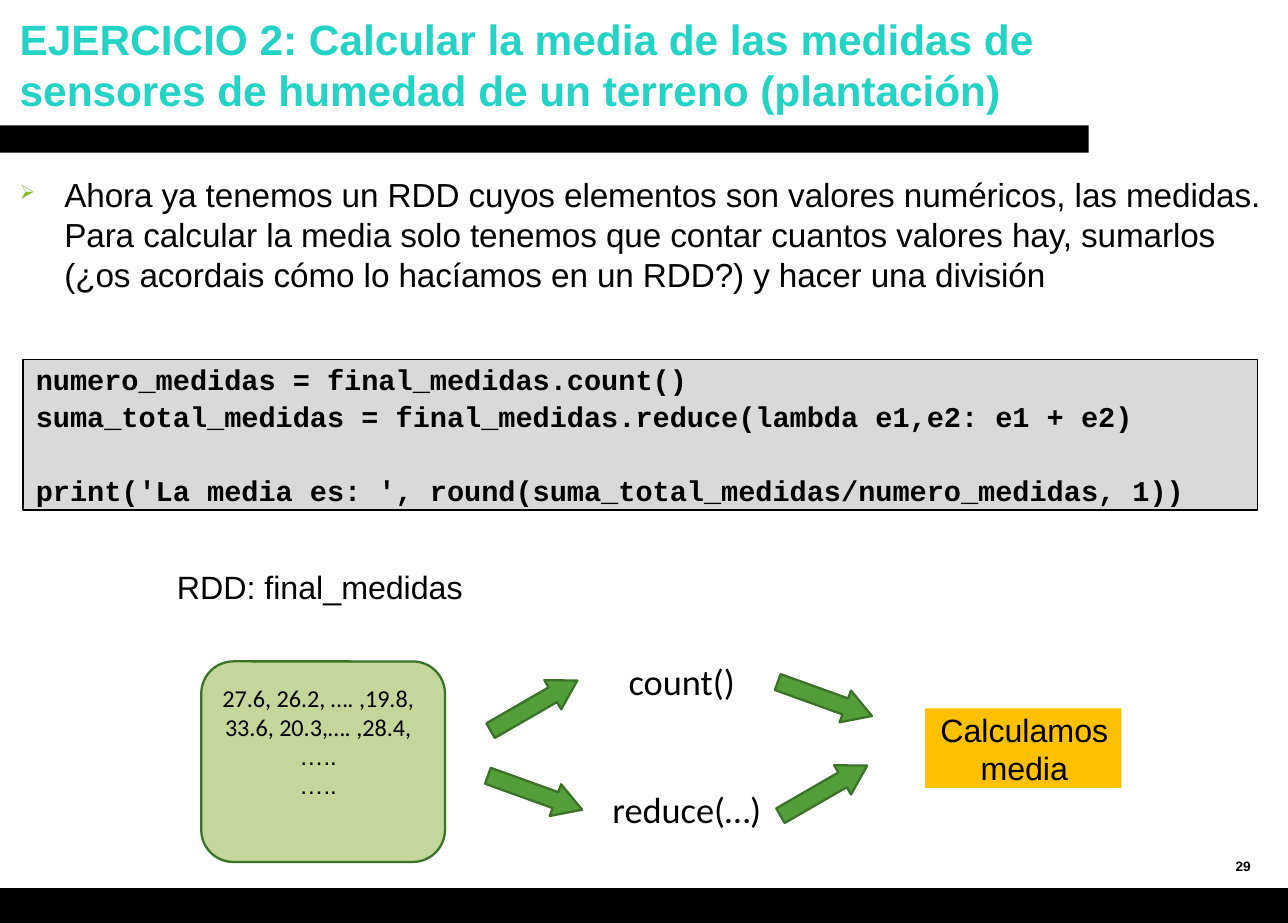
import pptx
import pptx.util
import pptx.dml.color
import pptx.enum.shapes
import pptx.enum.text
import pptx.oxml

Pt = pptx.util.Pt
SHAPE = pptx.enum.shapes.MSO_SHAPE
ALIGN = pptx.enum.text.PP_ALIGN
ANCHOR = pptx.enum.text.MSO_ANCHOR
LEFT, CENTER = ALIGN.LEFT, ALIGN.CENTER
NS = "http://schemas.openxmlformats.org/drawingml/2006/main"


def color(code):
    return pptx.dml.color.RGBColor.from_string(code)


def setup(frame, inset=(0, 0, 0, 0), anchor=ANCHOR.TOP):
    frame.word_wrap = True
    frame.auto_size = pptx.enum.text.MSO_AUTO_SIZE.NONE
    frame.vertical_anchor = anchor
    (frame.margin_left, frame.margin_top,
     frame.margin_right, frame.margin_bottom) = [Pt(n) for n in inset]


def write(frame, lines, size, ink="000000", bold=False, align=LEFT,
          tight=False):
    """Each line is (text, font, space before)."""
    for i, (text, font, gap) in enumerate(lines):
        para = frame.paragraphs[0] if i == 0 else frame.add_paragraph()
        para.alignment = align
        para.line_spacing = 1.0
        para.space_before = Pt(gap)
        run = para.add_run()
        run.text = text
        run.font.size = Pt(size)
        run.font.name = font
        run.font.bold = bold
        run.font.color.rgb = color(ink)
        if tight:
            run.font._element.set("spc", "-5")


def label(slide, box, text, size, inset=(0, 0, 0, 0),
          anchor=ANCHOR.TOP, font="Arial", **style):
    frame = slide.shapes.add_textbox(*[Pt(n) for n in box]).text_frame
    setup(frame, inset, anchor)
    write(frame, [(text, font, 0)], size, **style)
    return frame


def block(slide, kind, box, fill, line=None, width=1.5):
    shape = slide.shapes.add_shape(kind, *[Pt(n) for n in box])
    shape.shadow.inherit = False
    shape.fill.solid()
    shape.fill.fore_color.rgb = color(fill)
    if line:
        shape.line.color.rgb = color(line)
        shape.line.width = Pt(width)
    else:
        shape.line.fill.background()
    return shape


def arrow(slide, left, top, angle):
    shape = block(slide, SHAPE.RIGHT_ARROW, (left, top, 66.2, 22.3),
                  "539E39", "3A7327")
    shape.adjustments[1] = 0.84
    shape.rotation = angle


def bullet(para, char, ink, scale):
    props = para._p.get_or_add_pPr()
    props.set("marL", str(Pt(31)))
    props.set("indent", str(Pt(-29.5)))
    for xml in (f'<a:buClr xmlns:a="{NS}"><a:srgbClr val="{ink}"/></a:buClr>',
                f'<a:buSzPct xmlns:a="{NS}" val="{scale * 1000}"/>',
                f'<a:buChar xmlns:a="{NS}" char="{char}"/>'):
        props.append(pptx.oxml.parse_xml(xml))


def heading(slide):
    title = slide.shapes.title
    title.left, title.top, title.width, title.height = [
        Pt(n) for n in (5.8, 5, 768, 77)]
    setup(title.text_frame, (7.2, 3.6, 7.2, 3.6))
    write(title.text_frame,
          [("EJERCICIO 2: Calcular la media de las medidas de "
            "sensores de humedad de un terreno (plantación)", "Arial", 0)],
          28, ink="22D3C6", bold=True)


def code(slide):
    shape = block(slide, SHAPE.RECTANGLE, (15.1, 237.6, 815.8, 99.4),
                  "D9D9D9", "000000", 1)
    setup(shape.text_frame, (8.6, 1.2, 0, 0))
    font = "Courier New"
    write(shape.text_frame, [
        ("numero_medidas = final_medidas.count()", font, 0),
        ("suma_total_medidas = final_medidas.reduce(lambda e1,e2: e1 + e2)",
         font, 1.9),
        ("print('La media es: ', round(suma_total_medidas/numero_medidas, 1))",
         font, 26.3),
    ], 18.9, bold=True, tight=True)


def values(slide):
    shape = block(slide, SHAPE.ROUNDED_RECTANGLE, (133, 437, 161, 132.5),
                  "C3D69B", "3A7327")
    shape.adjustments[0] = 0.16
    setup(shape.text_frame, (0, 8, 6.5, 0))
    write(shape.text_frame, [
        ("27.6, 26.2, …. ,19.8,", "Calibri", 0),
        ("33.6, 20.3,…. ,28.4,", "Calibri", 0),
        ("…..", "Arial", 0),
        ("…..", "Arial", 0),
    ], 16, align=CENTER)


def main():
    deck = pptx.Presentation()
    deck.slide_width, deck.slide_height = Pt(851), Pt(609.8)
    slide = deck.slides.add_slide(deck.slide_layouts[5])

    # Title and bars
    heading(slide)
    block(slide, SHAPE.RECTANGLE, (0, 82.8, 719.3, 18), "000000")
    block(slide, SHAPE.RECTANGLE, (0, 586.8, 851, 23), "000000")
    label(slide, (809.3, 558, 33, 28.8), "29", 9, inset=(7.2, 0, 0, 0),
          anchor=ANCHOR.MIDDLE, bold=True)

    # Explanation
    body = label(slide, (11.5, 113.8, 830.2, 81.4),
                 "Ahora ya tenemos un RDD cuyos elementos son valores "
                 "numéricos, las medidas. Para calcular la media solo tenemos "
                 "que contar cuantos valores hay, sumarlos (¿os acordais cómo "
                 "lo hacíamos en un RDD?) y hacer una división",
                 22, inset=(0, 1.5, 0, 0), tight=True)
    bullet(body.paragraphs[0], "➢", "89B833", 60)

    # Code
    code(slide)

    # Data set
    label(slide, (110.2, 375, 202.3, 30), "RDD: final_medidas", 21.3,
          align=CENTER)
    values(slide)

    # Operations
    for text, left, top, width in (("count()", 414, 434.2, 84.2),
                                   ("reduce(…)", 403.2, 518.4, 106.6)):
        label(slide, (left, top, width, 30.2), text, 24,
              inset=(1.4, 1.4, 0, 0), font="Calibri")
    for left, top, angle in ((319.7, 455, 330), (320.4, 512.6, 19.8),
                             (511.9, 450.7, 19.8), (511.2, 511.2, 330)):
        arrow(slide, left, top, angle)

    # Result
    result = block(slide, SHAPE.RECTANGLE, (611.3, 468, 129.6, 52.6), "FFC000")
    setup(result.text_frame, (1.4, 1, 0, 0))
    write(result.text_frame, [("Calculamos media", "Arial", 0)], 21.3,
          align=CENTER)

    deck.save("out.pptx")


if __name__ == "__main__":
    main()
